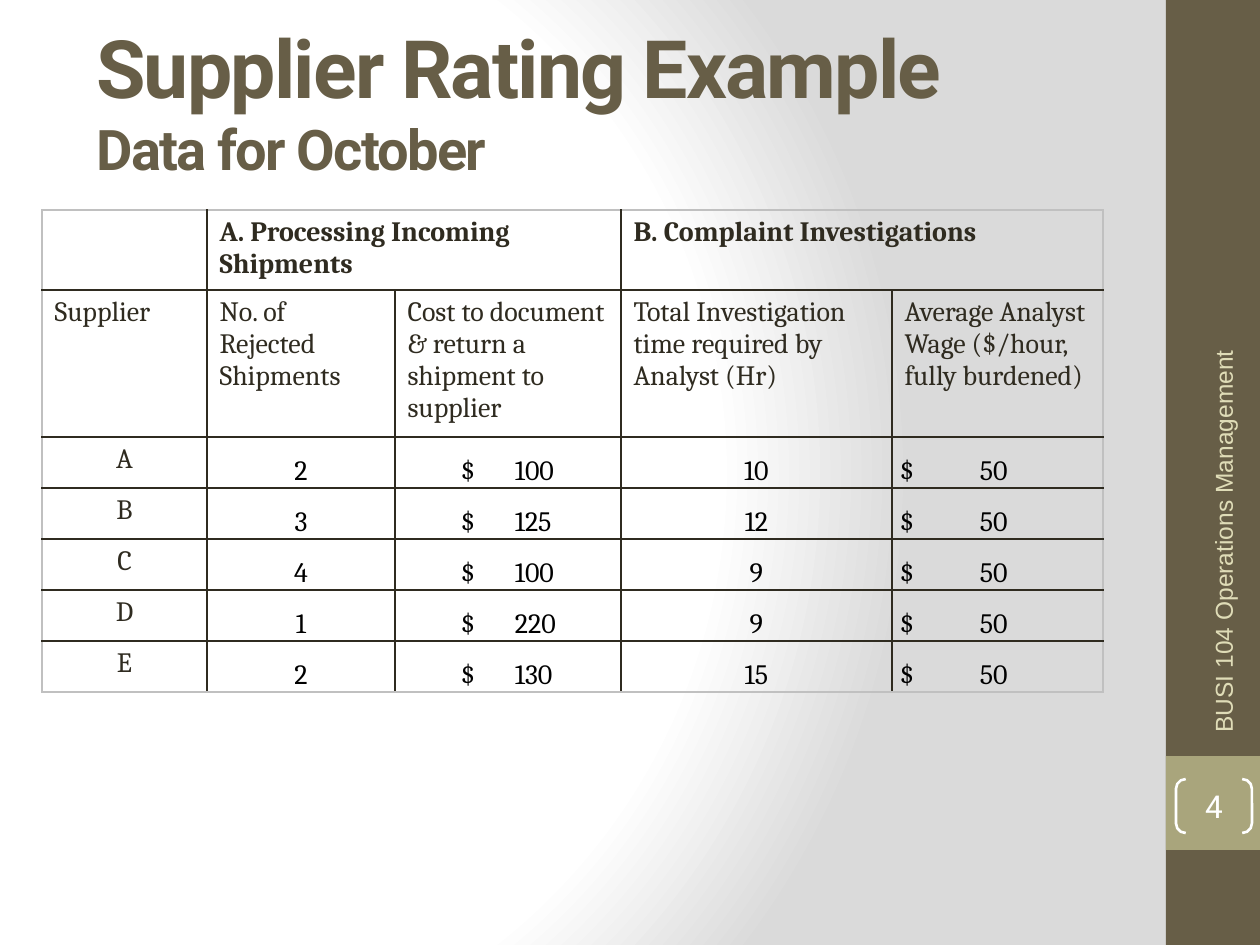
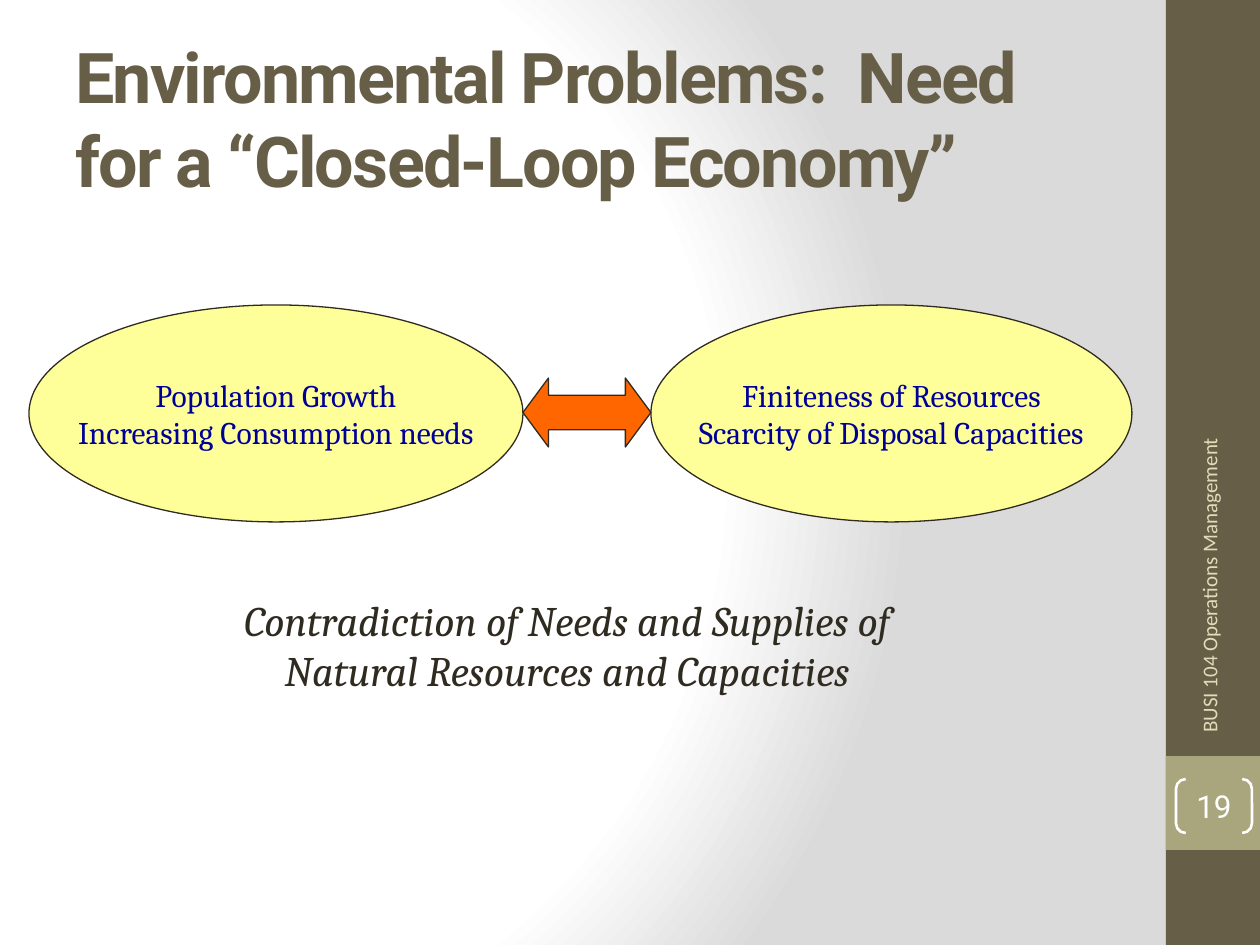
from lxml import etree
from pptx import Presentation
from pptx.dml.color import RGBColor
from pptx.enum.shapes import MSO_SHAPE
from pptx.enum.text import MSO_ANCHOR, PP_ALIGN
from pptx.oxml import parse_xml
from pptx.oxml.ns import nsdecls, qn
from pptx.util import Emu, Pt

RECT = MSO_SHAPE.RECTANGLE
OVAL = MSO_SHAPE.OVAL
DOUBLE_ARROW = MSO_SHAPE.LEFT_RIGHT_ARROW
BRACKETS = MSO_SHAPE.DOUBLE_BRACKET
LEFT, CENTER = PP_ALIGN.LEFT, PP_ALIGN.CENTER
TOP, MIDDLE, BOTTOM = MSO_ANCHOR.TOP, MSO_ANCHOR.MIDDLE, MSO_ANCHOR.BOTTOM

PX_PER_INCH = 126
COLORS = {
    "band": "675E47",
    "number_band": "A9A57C",
    "footer": "DFDCB7",
    "ink": "2F2B20",
    "black": "000000",
    "white": "FFFFFF",
    "shade": "DADADA",
    "frame": "C0C0C0",
    "oval": "FFFF99",
    "oval_text": "000099",
    "arrow": "FF6600",
}
HEADING, BODY = "Roboto", "Cambria"
FOOTER_BOTTOM = 745
FOOTER_HEIGHT = 50

COLUMN_WIDTHS = [165, 188, 226, 271, 211]
ROW_HEIGHTS = [77, 141] + [51] * 5
GROUPS = {1: "A. Processing Incoming Shipments", 3: "B. Complaint Investigations"}
HEADERS = [
    "Supplier",
    "No. of Rejected Shipments",
    "Cost to document & return a shipment to supplier",
    "Total Investigation time required by Analyst (Hr)",
    "Average Analyst Wage ($/hour, fully burdened)",
]
SUPPLIERS = [
    ("A", 2, 100, 10, 50),
    ("B", 3, 125, 12, 50),
    ("C", 4, 100, 9, 50),
    ("D", 1, 220, 9, 50),
    ("E", 2, 130, 15, 50),
]
# column: (left margin of the dollar sign, tab stop of the amount)
MONEY_COLUMNS = {2: (66, 54), 4: (8, 80)}


def px(n):
    return Emu(round(n * 914400 / PX_PER_INCH))


def rgb(name):
    return RGBColor.from_string(COLORS[name])


def add_run(p, text, size, font, color, bold=False, italic=False, spacing=None):
    r = p.add_run()
    r.text = text
    f = r.font
    f.size, f.name, f.bold, f.italic = Pt(size), font, bold, italic
    f.color.rgb = rgb(color)
    if spacing is not None:
        r._r.get_or_add_rPr().set("spc", str(spacing))


def add_box(slide, x, y, w, h, anchor=MIDDLE):
    sp = slide.shapes.add_textbox(px(x), px(y), px(w), px(h))
    sp.text_frame.word_wrap = True
    sp.text_frame.vertical_anchor = anchor
    return sp


def add_shape(slide, kind, x, y, w, h, fill=None, line=None, width=0.75):
    sp = slide.shapes.add_shape(kind, px(x), px(y), px(w), px(h))
    sp.shadow.inherit = False
    if fill:
        sp.fill.solid()
        sp.fill.fore_color.rgb = rgb(fill)
    else:
        sp.fill.background()
    if line:
        sp.line.color.rgb = rgb(line)
        sp.line.width = Pt(width)
    else:
        sp.line.fill.background()
    return sp


def set_background(master):
    """Give every slide the white to grey radial gradient."""
    master.background.fill.solid()
    bg = master.element.find(".//" + qn("p:bgPr"))
    stops = "".join(
        f'<a:gs pos="{pos}000"><a:srgbClr val="{COLORS[name]}"/></a:gs>'
        for pos, name in [(0, "white"), (75, "white"), (100, "shade")]
    )
    bg.replace(bg[0], parse_xml(
        f'<a:gradFill {nsdecls("a")} rotWithShape="1"><a:gsLst>{stops}</a:gsLst>'
        '<a:path path="circle"><a:fillToRect l="20000" t="50000" r="100000" b="50000"/>'
        "</a:path></a:gradFill>"
    ))


def add_slide(prs, number):
    """Add a slide with the side bands and its bracketed number."""
    slide = prs.slides.add_slide(prs.slide_layouts[6])
    add_shape(slide, RECT, 1166, 0, 94, 945, "band")
    add_shape(slide, RECT, 1166, 756, 94, 94, "number_band")
    sp = add_shape(slide, BRACKETS, 1176, 779, 76, 54, line="white", width=1.5)
    sp.adjustments[0] = 0.18
    tf = sp.text_frame
    tf.margin_left = tf.margin_right = tf.margin_top = tf.margin_bottom = 0
    tf.vertical_anchor = MIDDLE
    p = tf.paragraphs[0]
    p.alignment = CENTER
    add_run(p, str(number), 18, HEADING, "white")
    return slide


def add_title(slide, x, y, w, h, lines):
    p = add_box(slide, x, y, w, h).text_frame.paragraphs[0]
    for i, (text, size) in enumerate(lines):
        if i:
            p.add_line_break()
        add_run(p, text, size, HEADING, "band", bold=True, spacing=-100)


def add_footer(slide, center_x, length, size, font):
    """Add the course name, reading upwards along the side band."""
    y = FOOTER_BOTTOM - (length + FOOTER_HEIGHT) // 2
    sp = add_box(slide, center_x - length // 2, y, length, FOOTER_HEIGHT)
    sp.rotation = 270
    add_run(sp.text_frame.paragraphs[0], "BUSI 104 Operations Management",
            size, font, "footer")


def add_oval(slide, x, w, lines):
    sp = add_shape(slide, OVAL, x, 305, w, 217, "oval", "ink")
    tf = sp.text_frame
    tf.word_wrap = False
    tf.vertical_anchor = MIDDLE
    for i, text in enumerate(lines):
        p = tf.add_paragraph() if i else tf.paragraphs[0]
        p.alignment = CENTER
        add_run(p, text, 18, BODY, "oval_text")


def set_borders(cell, edges):
    """Draw the four cell borders; edges maps L, R, T, B to colour names."""
    tcPr = cell._tc.get_or_add_tcPr()
    for i, (side, color) in enumerate(edges.items()):
        tcPr.insert(i, parse_xml(
            f'<a:ln{side} {nsdecls("a")} w="12700"><a:solidFill>'
            f'<a:srgbClr val="{COLORS[color]}"/></a:solidFill></a:ln{side}>'
        ))


def fill_cell(cell, text, color="ink", align=LEFT, bold=False):
    p = cell.text_frame.paragraphs[0]
    p.alignment = align
    add_run(p, text, 16, BODY, color, bold=bold)
    return p


def fill_value(cell, col, value):
    cell.vertical_anchor = BOTTOM
    cell.margin_left = cell.margin_right = cell.margin_top = px(1)
    cell.margin_bottom = 0
    if col not in MONEY_COLUMNS:
        fill_cell(cell, str(value), "black", CENTER)
        return
    margin, tab = MONEY_COLUMNS[col]
    cell.margin_left = px(margin)
    p = fill_cell(cell, f"$\t{value}", "black")
    tabs = etree.SubElement(p._p.get_or_add_pPr(), qn("a:tabLst"))
    etree.SubElement(tabs, qn("a:tab"), pos=str(px(tab)), algn="l")


def add_rating_table(slide, x, y):
    n_rows, n_cols = len(ROW_HEIGHTS), len(COLUMN_WIDTHS)
    table = slide.shapes.add_table(
        n_rows, n_cols, px(x), px(y), px(sum(COLUMN_WIDTHS)), px(sum(ROW_HEIGHTS))
    ).table
    table.first_row = table.horz_banding = False
    for column, w in zip(table.columns, COLUMN_WIDTHS):
        column.width = px(w)
    for row, h in zip(table.rows, ROW_HEIGHTS):
        row.height = px(h)

    for c, text in GROUPS.items():
        table.cell(0, c).merge(table.cell(0, c + 1))
        fill_cell(table.cell(0, c), text, bold=True)
    for c, text in enumerate(HEADERS):
        fill_cell(table.cell(1, c), text)
    for r, (supplier, *values) in enumerate(SUPPLIERS, 2):
        fill_cell(table.cell(r, 0), supplier, align=CENTER)
        for c, value in enumerate(values, 1):
            fill_value(table.cell(r, c), c, value)

    for r in range(n_rows):
        for c in range(n_cols):
            cell = table.cell(r, c)
            cell.fill.background()
            if cell.is_spanned:
                continue
            last = c + (cell.span_width if cell.is_merge_origin else 1)
            outer = {"L": c == 0, "R": last == n_cols, "T": r == 0, "B": r == n_rows - 1}
            set_borders(cell, {s: "frame" if o else "ink" for s, o in outer.items()})


def build_rating_slide(prs):
    slide = add_slide(prs, 4)
    add_title(slide, 84, 32, 1124, 136,
              [("Supplier Rating Example", 46), ("Data for October", 32)])
    add_footer(slide, 1223, 588, 14, "Arial")
    add_rating_table(slide, 42, 210)


def build_economy_slide(prs):
    slide = add_slide(prs, 19)
    add_title(slide, 63, 38, 1050, 158,
              [("Environmental Problems:  Need for a “Closed-Loop Economy”", 40)])
    add_footer(slide, 1209, 462, 12, "Calibri")
    add_oval(slide, 29, 494, ["Population Growth", "Increasing Consumption needs"])
    add_oval(slide, 651, 481, ["Finiteness of Resources", "Scarcity of Disposal Capacities"])
    arrow = add_shape(slide, DOUBLE_ARROW, 523, 378, 128, 69, "arrow", "ink")
    arrow.adjustments[0], arrow.adjustments[1] = 0.5, 0.37
    p = add_box(slide, 189, 588, 756, 115, TOP).text_frame.paragraphs[0]
    p.alignment = CENTER
    add_run(p, "Contradiction of Needs and Supplies of Natural Resources and Capacities",
            24, BODY, "ink", italic=True)


def main():
    prs = Presentation()
    prs.slide_width, prs.slide_height = px(1260), px(945)
    set_background(prs.slide_master)
    build_rating_slide(prs)
    build_economy_slide(prs)
    prs.save("out.pptx")


if __name__ == "__main__":
    main()
